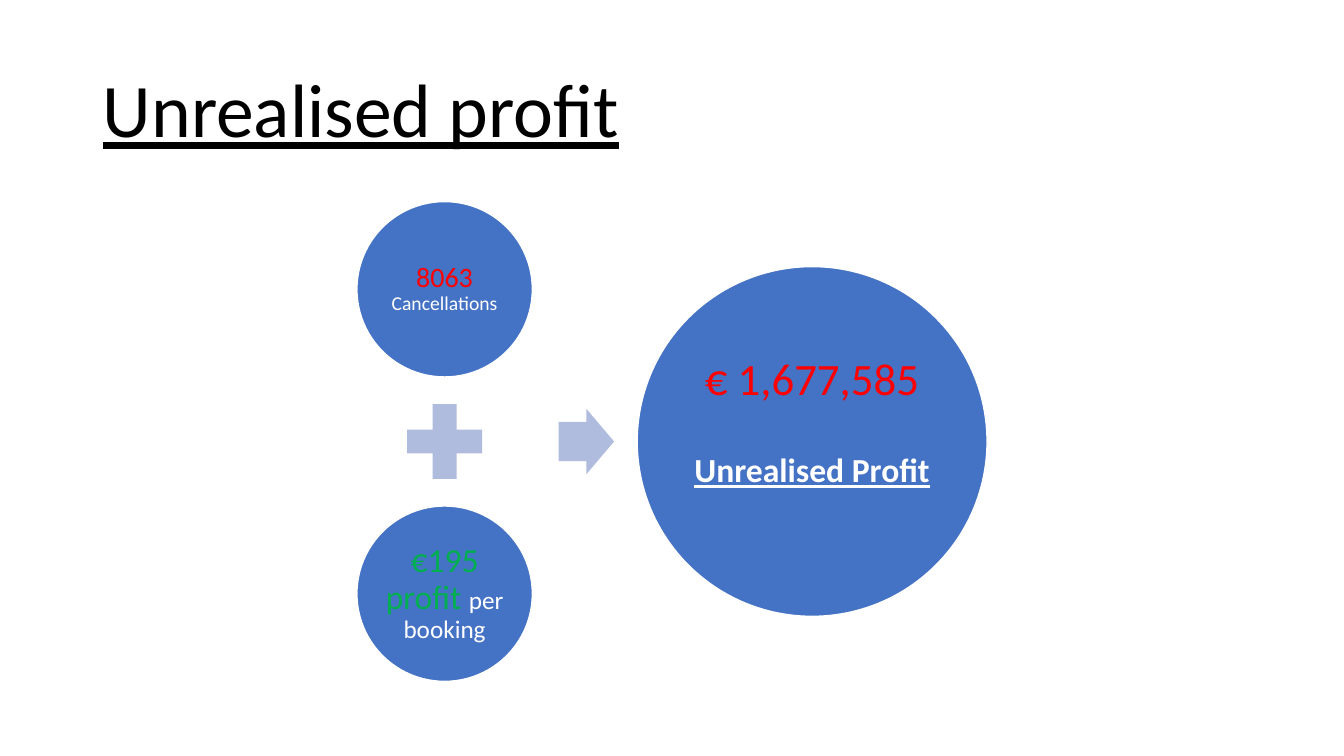
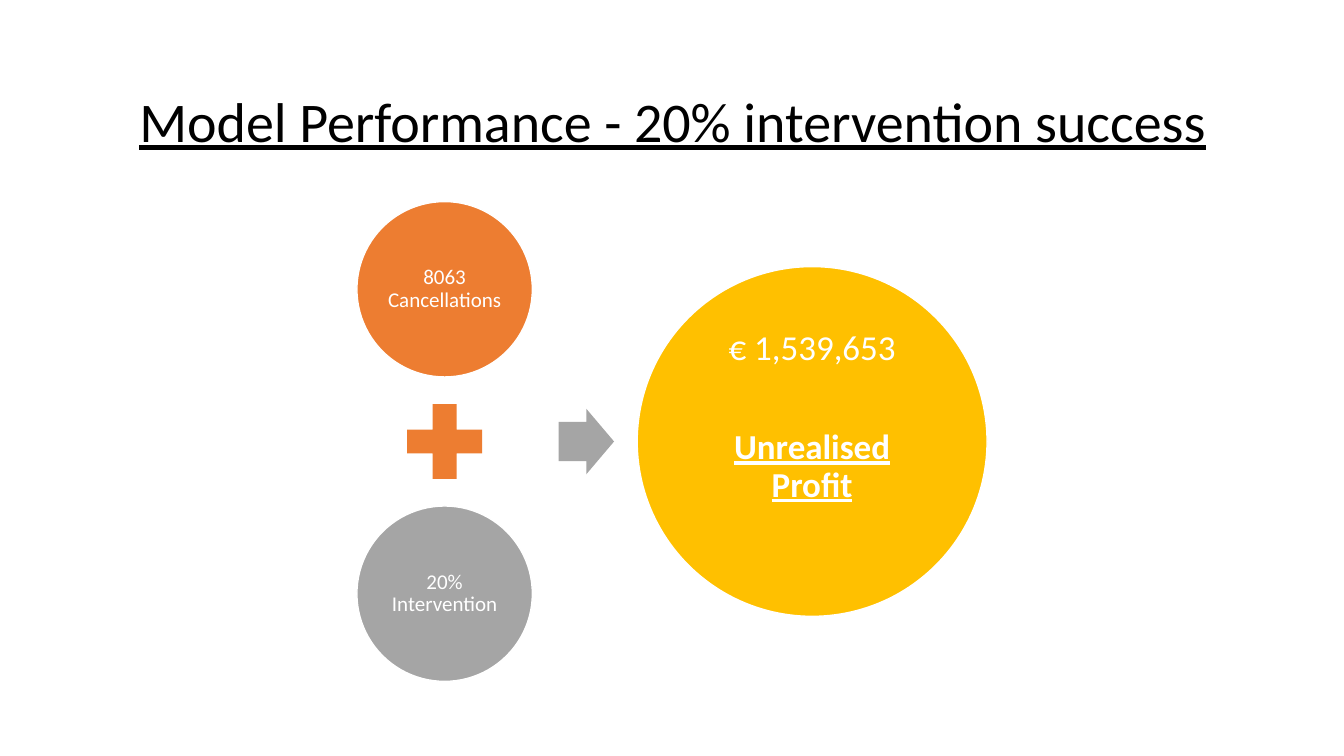
"""Build two slides that show how unrealised profit adds up."""
import pptx
import pptx.util
import pptx.dml.color
import pptx.enum.shapes
import pptx.enum.text

Inches, Pt = pptx.util.Inches, pptx.util.Pt
SHAPE = pptx.enum.shapes.MSO_SHAPE
ALIGN = pptx.enum.text.PP_ALIGN
ANCHOR = pptx.enum.text.MSO_ANCHOR

FONT = "Calibri"
BLACK, WHITE, RED, GREEN = "000000", "FFFFFF", "FF0000", "00B050"
BLUE, PALE_BLUE = "4472C4", "B0BCDE"
ORANGE, GREY, GOLD = "ED7D31", "A5A5A5", "FFC000"
FLOW_BOX = (3.54, 2, 6.25, 4.76)
CIRCLE, PLUS, RESULT = 1.74, 1.01, 3.47
ARROW_LEFT, ARROW_W, ARROW_H = 2, 0.55, 0.65


def rgb(color):
    """Return a hex string as a colour."""
    return pptx.dml.color.RGBColor.from_string(color)


def style_run(r, size, color, bold=False, underline=False):
    """Format one run."""
    r.font.name, r.font.size = FONT, Pt(size)
    r.font.color.rgb = rgb(color)
    r.font.bold, r.font.underline = bold, underline


def add_title(s, text, top, height, size, align):
    """Place and format the underlined slide title."""
    sp = s.shapes.title
    sp.left, sp.top = Inches(0.92), Inches(top)
    sp.width, sp.height = Inches(11.5), Inches(height)
    tf = sp.text_frame
    tf.text = text
    tf.auto_size = pptx.enum.text.MSO_AUTO_SIZE.NONE
    tf.vertical_anchor = ANCHOR.MIDDLE
    p = tf.paragraphs[0]
    p.alignment, p.line_spacing = align, 0.9
    style_run(p.runs[0], size, BLACK, underline=True)


def add_shape(s, kind, left, middle, width, height, fill):
    """Add a flat shape centred vertically on middle."""
    sp = s.shapes.add_shape(kind, Inches(left), Inches(middle - height / 2),
                            Inches(width), Inches(height))
    sp.shadow.inherit = False
    sp.fill.solid()
    sp.fill.fore_color.rgb = rgb(fill)
    sp.line.fill.background()
    return sp


def add_circle(s, left, middle, size, fill, paragraphs, gap=0, lift=0):
    """Add a circle whose paragraphs are lists of styled runs."""
    sp = add_shape(s, SHAPE.OVAL, left, middle, size, size, fill)
    sp.line.color.rgb = rgb(WHITE)
    sp.line.width = Pt(1)
    tf = sp.text_frame
    tf.word_wrap = True
    tf.vertical_anchor = ANCHOR.MIDDLE
    tf.margin_left = tf.margin_right = tf.margin_top = Inches(0.03)
    tf.margin_bottom = Inches(0.03 + lift)
    for i, runs in enumerate(paragraphs):
        p = tf.add_paragraph() if i else tf.paragraphs[0]
        p.alignment, p.line_spacing = ALIGN.CENTER, 0.9
        p.space_before = Pt(gap if i else 0)
        for text, *style in runs:
            r = p.add_run()
            r.text = text
            style_run(r, *style)


def add_flow(s, box, fills, first, second, result, gap, lift):
    """Draw two circles joined by a plus, with an arrow to the result."""
    left, top, width, height = box
    first_fill, plus_fill, second_fill, arrow_fill, result_fill = fills
    middle = top + height / 2
    add_circle(s, left, top + CIRCLE / 2, CIRCLE, first_fill, [first])
    add_shape(s, SHAPE.MATH_PLUS, left + (CIRCLE - PLUS) / 2, middle,
              PLUS, PLUS, plus_fill)
    add_circle(s, left, top + height - CIRCLE / 2, CIRCLE, second_fill,
               [second])
    arrow = add_shape(s, SHAPE.RIGHT_ARROW, left + ARROW_LEFT, middle,
                      ARROW_W, ARROW_H, arrow_fill)
    arrow.adjustments[0], arrow.adjustments[1] = 0.6, 0.5
    add_circle(s, left + width - RESULT, middle, RESULT, result_fill,
               result, gap, lift)


def main():
    """Build and save the presentation."""
    prs = pptx.Presentation()
    prs.slide_width, prs.slide_height = Inches(13.33), Inches(7.5)
    layout = prs.slide_layouts[5]

    s = prs.slides.add_slide(layout)
    add_title(s, "Unrealised profit", 0.4, 1.45, 54, ALIGN.LEFT)
    add_flow(s, FLOW_BOX, (BLUE, PALE_BLUE, BLUE, PALE_BLUE, BLUE),
             [("8063", 20, RED), (" ", 16, WHITE),
              ("Cancellations", 14, WHITE)],
             [("€195 profit ", 24, GREEN), ("per booking", 18, WHITE)],
             [[("€ 1,677,585", 32, RED)],
              [("Unrealised Profit", 24, WHITE, True, True)]],
             gap=35, lift=0.36)

    s = prs.slides.add_slide(layout)
    add_title(s, "Model Performance - 20% intervention success",
              0.61, 1.24, 40, ALIGN.CENTER)
    add_flow(s, FLOW_BOX, (ORANGE, ORANGE, GREY, GREY, GOLD),
             [("8063 Cancellations", 15, WHITE)],
             [("20% Intervention", 15, WHITE)],
             [[("€ 1,539,653", 25, WHITE)],
              [("Unrealised Profit", 25, WHITE, True, True)]],
             gap=44, lift=0.48)

    prs.save("out.pptx")


if __name__ == "__main__":
    main()
